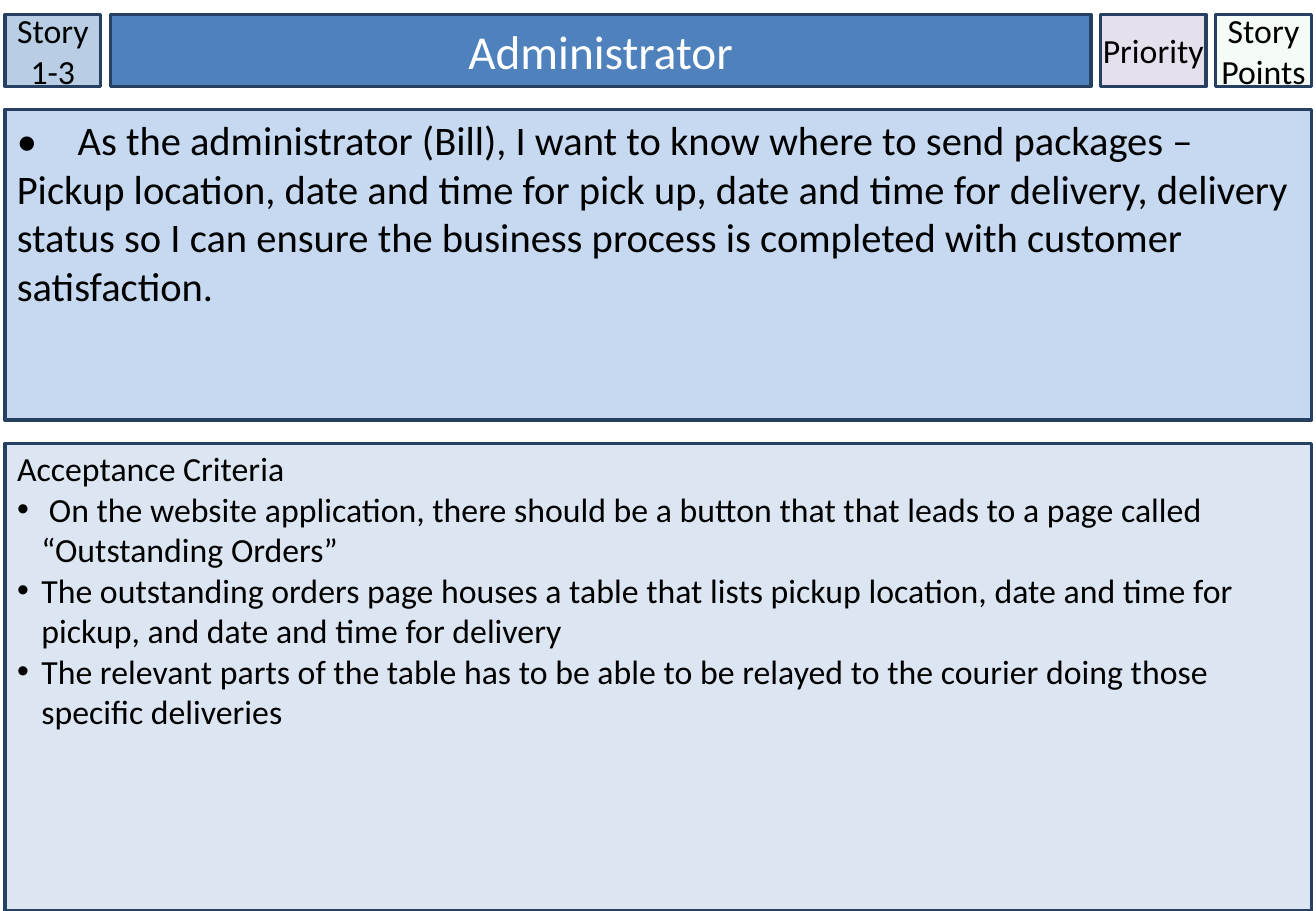
from dataclasses import dataclass
from typing import Any

import pptx
import pptx.dml.color
import pptx.enum.shapes
import pptx.enum.text
import pptx.oxml.ns
import pptx.util
from lxml import etree

RGB = pptx.dml.color.RGBColor
ALIGN = pptx.enum.text.PP_ALIGN
ANCHOR = pptx.enum.text.MSO_ANCHOR

BLACK = RGB(0x00, 0x00, 0x00)
WHITE = RGB(0xFF, 0xFF, 0xFF)
NAVY = RGB(0x25, 0x40, 0x61)
STORY_BLUE = RGB(0xB9, 0xCD, 0xE5)
ROLE_BLUE = RGB(0x4F, 0x81, 0xBD)
LILAC = RGB(0xE6, 0xE0, 0xEC)
MINT = RGB(0xCC, 0xF0, 0xCD)
WISH_BLUE = RGB(0xC6, 0xD9, 0xF1)
CRITERIA_BLUE = RGB(0xDC, 0xE6, 0xF2)

# Grid in percent of the slide's width and height
COLUMNS = (7.29, 74.52, 8.03, 7.29)
ROWS = (7.87, 34.13, 51.33)
LEFT, TOP = 0.37, 1.6
COLUMN_GAP, ROW_GAP = 0.72, 2.53


@dataclass(frozen=True)
class Card:
    row: int
    column: int
    span: int
    fill: RGB
    paragraphs: tuple[str, ...]
    size: int
    color: RGB = BLACK
    align: Any = ALIGN.CENTER
    anchor: Any = ANCHOR.MIDDLE
    side_inset: float = 0.1
    top_inset: float = 0.05
    wrap: bool = True
    opacity: int = 100
    bulleted: bool = False
    placeholder: int | None = None


CARDS = (
    Card(0, 0, 1, STORY_BLUE, ("Story 1-3",), 20, side_inset=0),
    Card(0, 1, 1, ROLE_BLUE, ("Administrator",), 28, WHITE, placeholder=0),
    Card(0, 2, 1, LILAC, ("Priority",), 20, side_inset=0, wrap=False),
    Card(0, 3, 1, MINT, ("Story Points",), 20, side_inset=0, opacity=20),
    Card(1, 0, 4, WISH_BLUE, (
        "•\tAs the administrator (Bill), I want to know where to send packages – "
        "Pickup location, date and time for pick up, date and time for delivery, "
        "delivery status so I can ensure the business process is completed with "
        "customer satisfaction.",
    ), 24, align=ALIGN.LEFT, anchor=ANCHOR.TOP),
    Card(2, 0, 4, CRITERIA_BLUE, (
        "Acceptance Criteria",
        " On the website application, there should be a button that that leads to "
        "a page called “Outstanding Orders”",
        "The outstanding orders page houses a table that lists pickup location, "
        "date and time for pickup, and date and time for delivery",
        "The relevant parts of the table has to be able to be relayed to the "
        "courier doing those specific deliveries",
    ), 20, align=ALIGN.LEFT, anchor=ANCHOR.TOP, top_inset=0.04, bulleted=True,
        placeholder=1),
)


def set_all(target: Any, values: dict[str, Any]) -> None:
    for name, value in values.items():
        setattr(target, name, value)


def grid_box(prs: Any, card: Card) -> dict[str, int]:
    x = LEFT + sum(COLUMNS[:card.column]) + card.column * COLUMN_GAP
    y = TOP + sum(ROWS[:card.row]) + card.row * ROW_GAP
    w = sum(COLUMNS[card.column:card.column + card.span]) + (card.span - 1) * COLUMN_GAP
    return {
        "left": int(prs.slide_width * x / 100),
        "top": int(prs.slide_height * y / 100),
        "width": int(prs.slide_width * w / 100),
        "height": int(prs.slide_height * ROWS[card.row] / 100),
    }


def set_bullet(p: Any, char: str | None) -> None:
    indent = pptx.util.Inches(0.2) if char else 0
    pPr = p._p.get_or_add_pPr()
    pPr.set("marL", str(indent))
    pPr.set("indent", str(-indent))
    if char:
        font = etree.SubElement(pPr, pptx.oxml.ns.qn("a:buFont"))
        font.set("typeface", "Arial")
        etree.SubElement(pPr, pptx.oxml.ns.qn("a:buChar")).set("char", char)
    else:
        etree.SubElement(pPr, pptx.oxml.ns.qn("a:buNone"))


def draw_card(prs: Any, slide: Any, card: Card) -> None:
    box = grid_box(prs, card)
    if card.placeholder is None:
        sp = slide.shapes.add_shape(pptx.enum.shapes.MSO_SHAPE.RECTANGLE, **box)
        sp.shadow.inherit = False
    else:
        sp = slide.placeholders[card.placeholder]
        set_all(sp, box)

    # Fill and outline
    sp.fill.solid()
    sp.fill.fore_color.rgb = card.fill
    if card.opacity < 100:
        color = sp.fill._xPr.find(".//" + pptx.oxml.ns.qn("a:srgbClr"))
        alpha = etree.SubElement(color, pptx.oxml.ns.qn("a:alpha"))
        alpha.set("val", str(card.opacity * 1000))
    sp.line.color.rgb = NAVY
    sp.line.width = pptx.util.Pt(2)

    # Text
    tf = sp.text_frame
    set_all(tf, {
        "auto_size": pptx.enum.text.MSO_AUTO_SIZE.NONE,
        "word_wrap": card.wrap,
        "vertical_anchor": card.anchor,
        "margin_left": pptx.util.Inches(card.side_inset),
        "margin_right": pptx.util.Inches(card.side_inset),
        "margin_top": pptx.util.Inches(card.top_inset),
        "margin_bottom": pptx.util.Inches(0.05),
    })
    for i, text in enumerate(card.paragraphs):
        p = tf.add_paragraph() if i else tf.paragraphs[0]
        set_all(p, {"alignment": card.align, "space_before": pptx.util.Pt(0)})
        set_bullet(p, "•" if card.bulleted and i else None)
        r = p.add_run()
        r.text = text
        set_all(r.font, {"name": "Calibri", "size": pptx.util.Pt(card.size)})
        r.font.color.rgb = card.color


def main() -> None:
    prs = pptx.Presentation()
    prs.slide_width = pptx.util.Inches(10.83)
    prs.slide_height = pptx.util.Inches(7.5)
    slide = prs.slides.add_slide(prs.slide_layouts[1])
    for card in CARDS:
        draw_card(prs, slide, card)
    prs.save("out.pptx")


if __name__ == "__main__":
    main()
